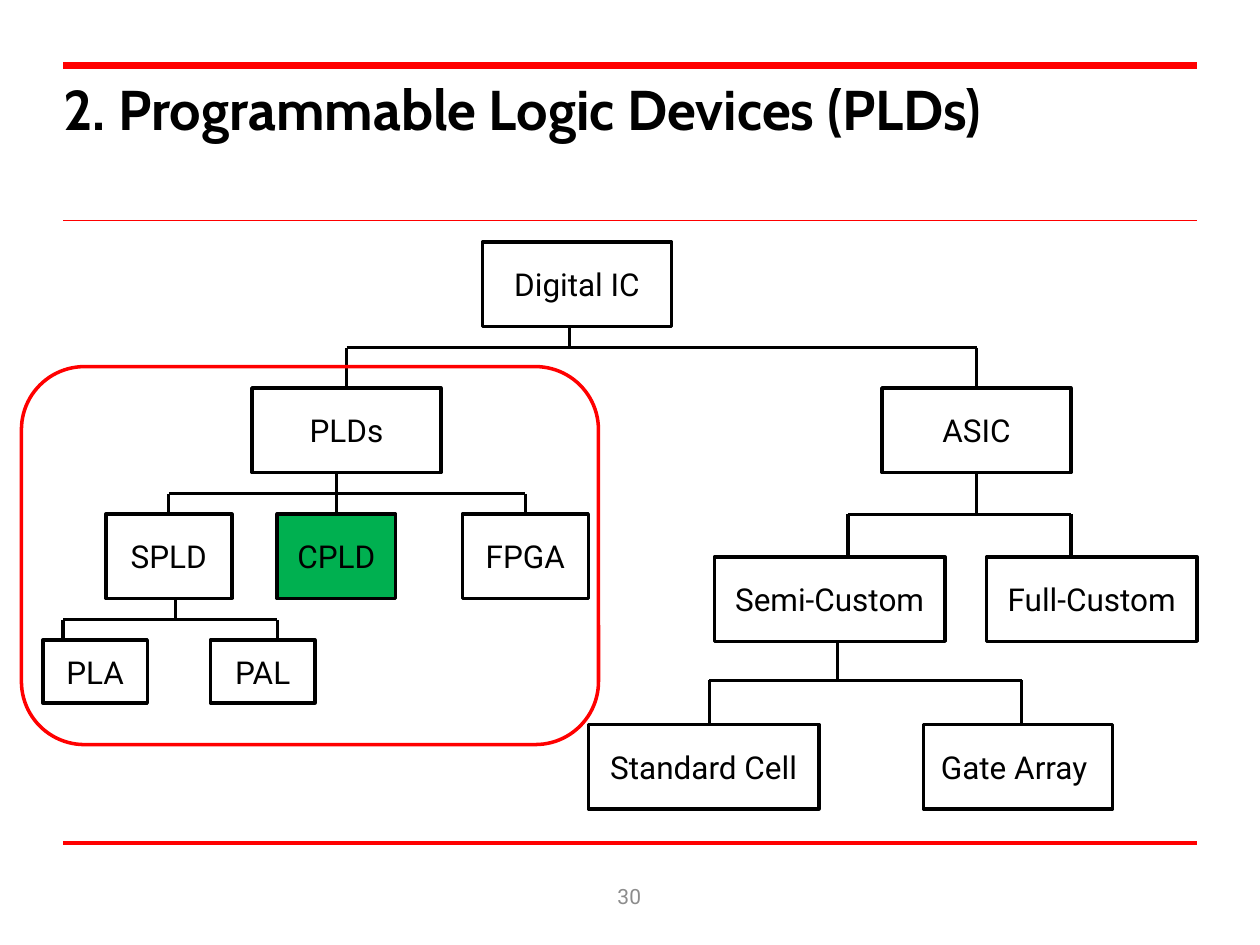
"""Build a slide with a tree of digital integrated circuit families."""
from pptx import Presentation
from pptx.dml.color import RGBColor
from pptx.enum import shapes, text
from pptx.oxml.xmlchemy import OxmlElement
from pptx.util import Inches, Pt

BLACK = RGBColor(0x00, 0x00, 0x00)
RED = RGBColor(0xFF, 0x00, 0x00)
GREEN = RGBColor(0x00, 0xB0, 0x50)
GRAY = RGBColor(0x8C, 0x8C, 0x8C)

RULES = [(6.69, 2.5), (1.75, 1), (0.52, 4)]

BOXES = [
    ("Digital IC", 3.83, 1.92, 1.5, 0.67),
    ("PLDs", 2, 3.08, 1.5, 0.67),
    ("ASIC", 7, 3.08, 1.5, 0.67),
    ("CPLD", 2.2, 4.08, 0.94, 0.67),
    ("SPLD", 0.84, 4.08, 1, 0.67),
    ("FPGA", 3.67, 4.08, 1, 0.67),
    ("Full-Custom", 7.83, 4.42, 1.67, 0.67),
    ("Semi-Custom", 5.67, 4.42, 1.83, 0.67),
    ("Standard Cell", 4.67, 5.75, 1.83, 0.67),
    ("Gate Array ", 7.33, 5.75, 1.5, 0.67),
    ("PAL", 1.67, 5.08, 0.83, 0.5),
    ("PLA", 0.34, 5.08, 0.83, 0.5),
]

# Parent, trunk x, bar y, and each child with the x of its drop
BRANCHES = [
    ("Digital IC", 4.52, 2.76, {"PLDs": 2.75, "ASIC": 7.75}),
    ("PLDs", 2.67, 3.92, {"SPLD": 1.34, "CPLD": 2.67, "FPGA": 4.17}),
    ("ASIC", 7.75, 4.08, {"Semi-Custom": 6.73, "Full-Custom": 8.5}),
    ("Semi-Custom", 6.65, 5.4, {"Standard Cell": 5.63, "Gate Array ": 8.11}),
    ("SPLD", 1.39, 4.92, {"PLA": 0.5, "PAL": 2.2}),
]


def format_text(frame, content, font_name, size, color, bold=False):
    """Write one paragraph into the frame and style its run."""
    frame.text = content
    frame.word_wrap = True
    font = frame.paragraphs[0].runs[0].font
    font.name, font.size, font.bold = font_name, Pt(size), bold
    font.color.rgb = color


def center_text(frame):
    """Center the text of a frame both ways."""
    frame.vertical_anchor = text.MSO_ANCHOR.MIDDLE
    frame.paragraphs[0].alignment = text.PP_ALIGN.CENTER


def add_line(slide, start, end, color=BLACK, width=1.75):
    """Draw a straight line between two points without a shadow."""
    connector = slide.shapes.add_connector(
        shapes.MSO_CONNECTOR.STRAIGHT, *map(Inches, start + end))
    connector.line.color.rgb = color
    connector.line.width = Pt(width)
    connector._element.spPr.append(OxmlElement("a:effectLst"))
    return connector


def add_outline(slide, kind, position, color, fill=None):
    """Draw a preset shape with a two-point outline."""
    shape = slide.shapes.add_shape(kind, *map(Inches, position))
    shape.shadow.inherit = False
    shape.line.color.rgb = color
    shape.line.width = Pt(2)
    if fill is None:
        shape.fill.background()
    else:
        shape.fill.solid()
        shape.fill.fore_color.rgb = fill
    return shape


def add_box(slide, label, *position):
    """Add a labelled node of the tree."""
    fill = GREEN if label == "CPLD" else None
    box = add_outline(slide, shapes.MSO_SHAPE.RECTANGLE, position, BLACK, fill)
    format_text(box.text_frame, label, "Roboto", 18, BLACK)
    center_text(box.text_frame)
    return box


def is_middle(box, x):
    """Tell whether x lies at the horizontal middle of the box."""
    return abs(box.left + box.width / 2 - Inches(x)) < Inches(0.015)


def add_branch(slide, boxes, parent, trunk_x, bar_y, children):
    """Link a parent to its children by a trunk, a bar and drops."""
    box = boxes[parent]
    bottom = (box.top + box.height) / Inches(1)
    trunk = add_line(slide, (trunk_x, bottom), (trunk_x, bar_y))
    if is_middle(box, trunk_x):
        trunk.begin_connect(box, 2)
    add_line(slide, (min(children.values()), bar_y), (max(children.values()), bar_y))
    for child, x in children.items():
        box = boxes[child]
        drop = add_line(slide, (x, bar_y), (x, box.top / Inches(1)))
        if is_middle(box, x):
            drop.end_connect(box, 0)


def add_title(slide, content):
    """Add the heading between the two upper rules."""
    frame = slide.shapes.add_textbox(*map(Inches, (0.5, 0.59, 8.99, 1))).text_frame
    frame.margin_left = frame.margin_right = frame.margin_top = frame.margin_bottom = 0
    format_text(frame, content, "Cabin", 32, BLACK, bold=True)


def add_page_number(slide, number):
    """Add the page number below the lower rule."""
    frame = slide.shapes.add_textbox(*map(Inches, (3.83, 6.91, 2.33, 0.4))).text_frame
    format_text(frame, number, "Roboto", 12, GRAY)
    center_text(frame)


def main():
    """Build and save the presentation."""
    presentation = Presentation()
    presentation.slide_width, presentation.slide_height = Inches(10), Inches(7.5)
    slide = presentation.slides.add_slide(presentation.slide_layouts[6])
    for y, width in RULES:
        add_line(slide, (0.5, y), (9.5, y), RED, width)
    add_title(slide, "2. Programmable Logic Devices (PLDs)")
    add_page_number(slide, "30")
    boxes = {box[0]: add_box(slide, *box) for box in BOXES}
    for branch in BRANCHES:
        add_branch(slide, boxes, *branch)
    add_outline(slide, shapes.MSO_SHAPE.ROUNDED_RECTANGLE, (0.17, 2.91, 4.58, 3), RED)
    presentation.save("out.pptx")


if __name__ == "__main__":
    main()
